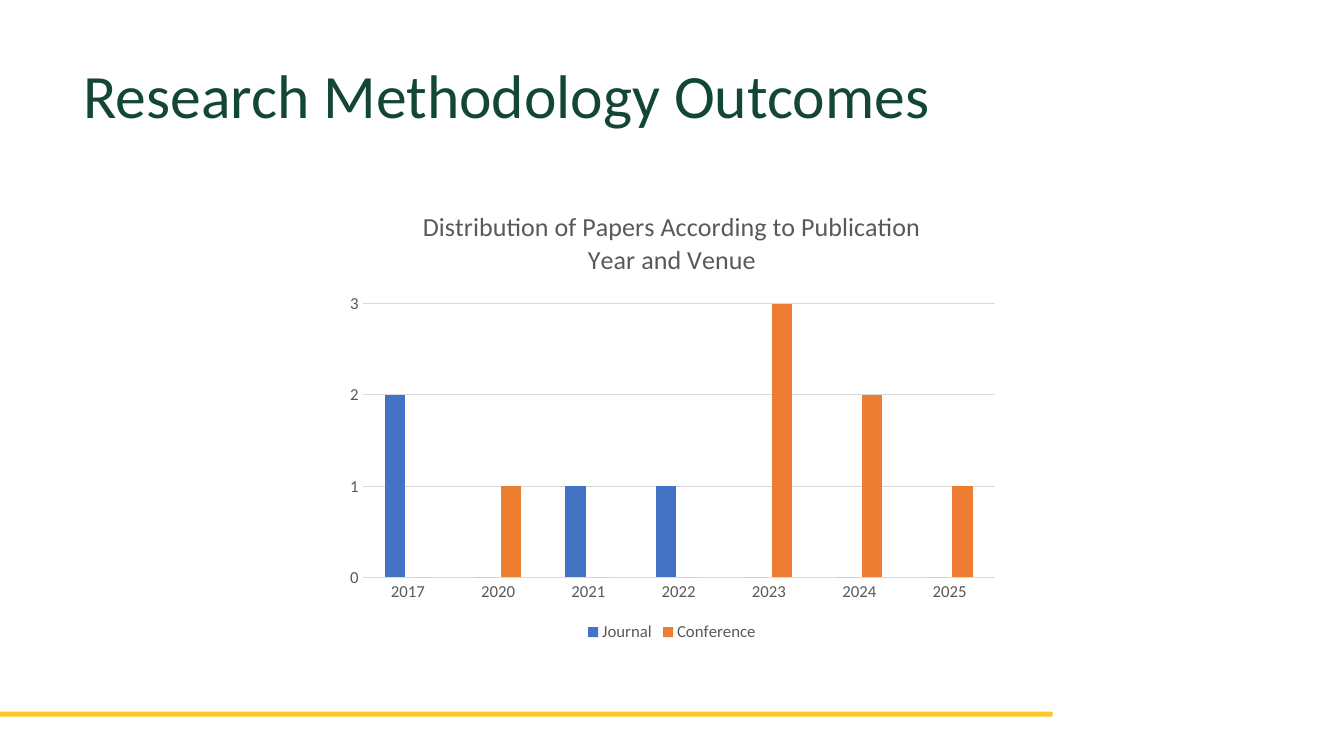
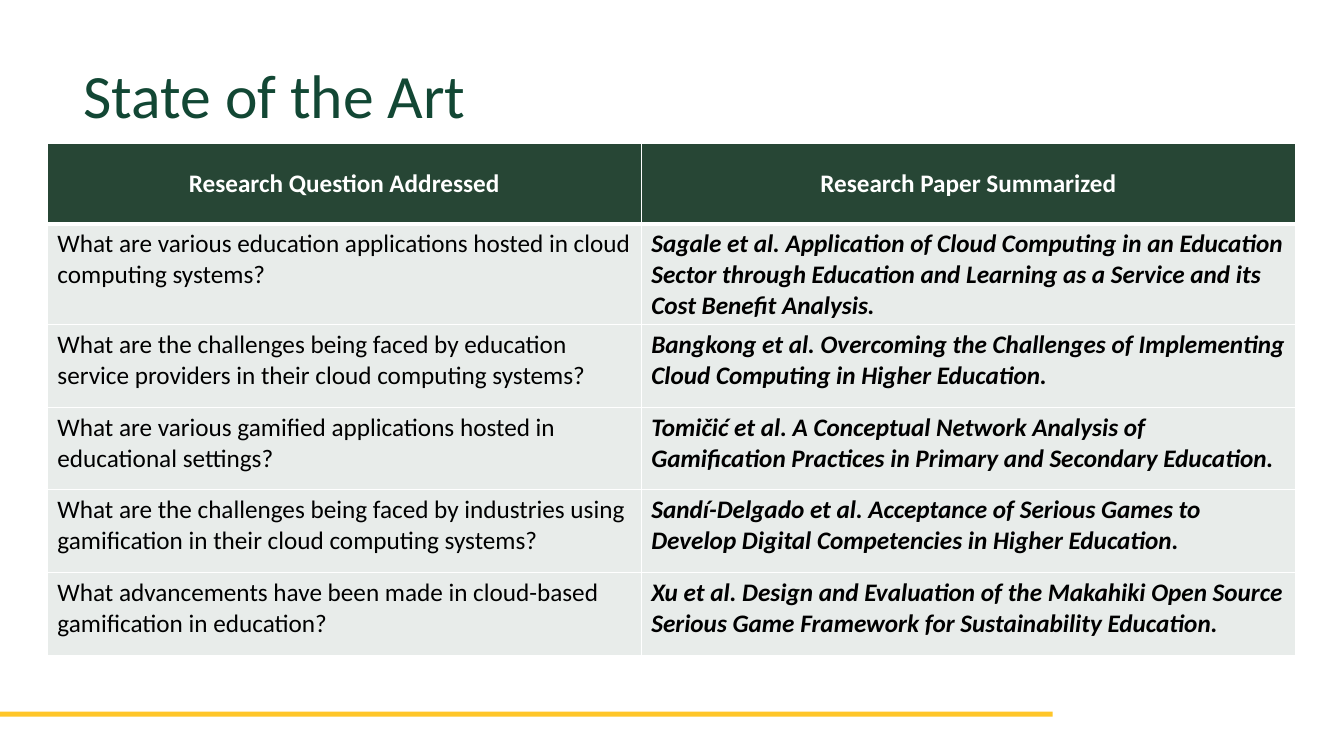
from lxml.etree import SubElement as Sub
from pptx import Presentation
from pptx.chart.data import CategoryChartData
from pptx.dml.color import RGBColor
from pptx.enum.chart import XL_CHART_TYPE as Kind, XL_LEGEND_POSITION as Spot, XL_TICK_MARK as Tick
from pptx.enum.shapes import MSO_SHAPE as Shape
from pptx.enum.text import MSO_ANCHOR as Anchor, PP_ALIGN as Align
from pptx.oxml import parse_xml
from pptx.oxml.ns import nsdecls, qn
from pptx.util import Inches, Pt

FACE = "Calibri"
GREEN, DARK, GOLD = "124734", "274635", "FFC629"
WHITE, BLACK, GREY, RULE = "FFFFFF", "000000", "595959", "D9D9D9"


def style(font, size, color, bold=False, slant=False):
    font.name, font.size = FACE, Pt(size)
    font.bold, font.italic = bold, slant
    font.color.rgb = RGBColor.from_string(color)


def paint(fill, color):
    fill.solid()
    fill.fore_color.rgb = RGBColor.from_string(color)


deck = Presentation()
deck.slide_width, deck.slide_height = Inches(13.33), Inches(7.5)

pages = []
for title in ("Research Methodology Outcomes", "State of the Art"):
    page = deck.slides.add_slide(deck.slide_layouts[6])
    band = page.shapes.add_shape(Shape.RECTANGLE, 0, Inches(7.06), Inches(10.44), Inches(0.05))
    band.shadow.inherit = False
    paint(band.fill, GOLD)
    band.line.fill.background()
    box = page.shapes.add_textbox(Inches(0.73), Inches(0.6), Inches(11.87), Inches(0.82))
    box.text_frame.word_wrap = True
    para = box.text_frame.paragraphs[0]
    para.text = title
    para.line_spacing = 0.9
    style(para.font, 44, GREEN)
    pages.append(page)

data = CategoryChartData()
data.categories = ["2017", "2020", "2021", "2022", "2023", "2024", "2025"]
data.add_series("Journal", (2, 0, 1, 1, 0, 0, 0))
data.add_series("Conference", (0, 1, 0, 0, 3, 2, 1))
chart = pages[0].shapes.add_chart(
    Kind.COLUMN_CLUSTERED, Inches(3.33), Inches(1.88), Inches(6.67), Inches(4.53), data
).chart
style(chart.font, 10, BLACK)

chart.has_title = True
para = chart.chart_title.text_frame.paragraphs[0]
para.text = "Distribution of Papers According to Publication Year and Venue"
style(para.font, 18.6, GREY)
chart.chart_title.include_in_layout = False

chart.has_legend = True
chart.legend.position = Spot.BOTTOM
chart.legend.include_in_layout = False
style(chart.legend.font, 12, GREY)

plot = chart.plots[0]
plot.gap_width, plot.overlap = 219, -27
plot.vary_by_categories = False
for series, color in zip(plot.series, ("4472C4", "ED7D31")):
    paint(series.format.fill, color)

years, count = chart.category_axis, chart.value_axis
for axis in (years, count):
    axis.major_tick_mark = axis.minor_tick_mark = Tick.NONE
    style(axis.tick_labels.font, 12, GREY)
count.minimum_scale, count.maximum_scale, count.major_unit = 0, 3, 1
count.has_major_gridlines = True
count.format.line.fill.background()
for line in (years.format.line, count.major_gridlines.format.line):
    paint(line.fill, RULE)
    line.width = Pt(0.75)

area = plot._element.getparent()
for old in area.findall(qn("c:layout")):
    area.remove(old)
area.insert(0, parse_xml(
    f'<c:layout {nsdecls("c")}><c:manualLayout><c:layoutTarget val="inner"/>'
    '<c:xMode val="edge"/><c:yMode val="edge"/><c:x val="0.04"/><c:y val="0.25"/>'
    '<c:w val="0.94"/><c:h val="0.6"/></c:manualLayout></c:layout>'))

rows = [
    ("Research Question Addressed", "Research Paper Summarized"),
    ("What are various education applications hosted in cloud computing systems?",
     "Sagale et al. Application of Cloud Computing in an Education Sector through "
     "Education and Learning as a Service and its Cost Benefit Analysis."),
    ("What are the challenges being faced by education service providers in their "
     "cloud computing systems?",
     "Bangkong et al. Overcoming the Challenges of Implementing Cloud Computing in "
     "Higher Education."),
    ("What are various gamified applications hosted in educational settings?",
     "Tomičić et al. A Conceptual Network Analysis of Gamification Practices in "
     "Primary and Secondary Education."),
    ("What are the challenges being faced by industries using gamification in their "
     "cloud computing systems?",
     "Sandí-Delgado et al. Acceptance of Serious Games to Develop Digital "
     "Competencies in Higher Education."),
    ("What advancements have been made in cloud-based gamification in education?",
     "Xu et al. Design and Evaluation of the Makahiki Open Source Serious Game "
     "Framework for Sustainability Education."),
]
table = pages[1].shapes.add_table(
    len(rows), 2, Inches(0.47), Inches(1.42), Inches(12.38), Inches(4.9)
).table
for col, width in zip(table.columns, (5.89, 6.49)):
    col.width = Inches(width)
for r, texts in enumerate(rows):
    head = r == 0
    table.rows[r].height = Inches(0.8 if head else 0.82)
    for c, text in enumerate(texts):
        cell = table.cell(r, c)
        para = cell.text_frame.paragraphs[0]
        para.text = text
        if head:
            cell.vertical_anchor = Anchor.MIDDLE
            para.alignment = Align.CENTER
        paper = c == 1 and not head
        style(para.font, 18, WHITE if head else BLACK, head or paper, paper)
        props = cell._tc.get_or_add_tcPr()
        for side in "LRTB":
            thick = (head and side == "B") or (r == 1 and side == "T")
            edge = Sub(props, qn(f"a:ln{side}"), w=str(Pt(3 if thick else 1)))
            Sub(Sub(edge, qn("a:solidFill")), qn("a:srgbClr"), val=WHITE)
        paint(cell.fill, DARK)
        if not head:
            tint = props.find(qn("a:solidFill")).find(qn("a:srgbClr"))
            Sub(tint, qn("a:alpha"), val="10000")

deck.save("out.pptx")
